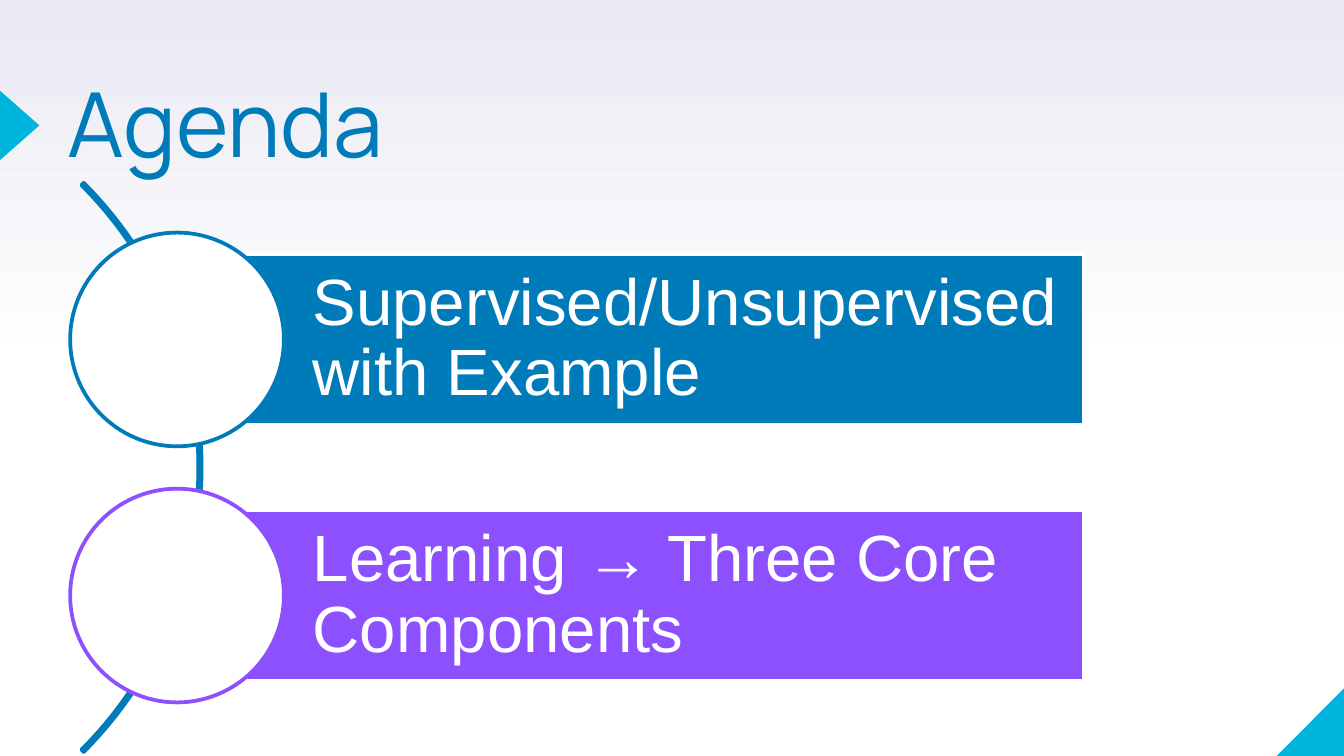
from copy import deepcopy

from pptx import Presentation
from pptx.dml.color import RGBColor
from pptx.enum.shapes import MSO_SHAPE as SHAPE
from pptx.enum.text import MSO_ANCHOR as ANCHOR, PP_ALIGN as ALIGN
from pptx.oxml.ns import qn
from pptx.util import Pt

COLORS = {
    "white": "FFFFFF",
    "mist": "E9EAF2",
    "cyan": "00B5DD",
    "blue": "007BB9",
    "purple": "8C50FF",
}
AGENDA = [
    ("Supervised/Unsupervised with Example", "blue"),
    ("Learning → Three Core Components", "purple"),
]


def rgb(name):
    return RGBColor.from_string(COLORS[name])


def add_shape(slide, kind, box, fill=None, line=None):
    sp = slide.shapes.add_shape(kind, *(Pt(v) for v in box))
    sp.shadow.inherit = False
    if fill:
        sp.fill.solid()
        sp.fill.fore_color.rgb = rgb(fill)
    else:
        sp.fill.background()
    if line:
        sp.line.color.rgb = rgb(line)
        sp.line.width = Pt(2)
    else:
        sp.line.fill.background()
    return sp


def set_text(sp, text, font, size, color, spacing, margins, anchor):
    tf = sp.text_frame
    tf.word_wrap = True
    tf.vertical_anchor = anchor
    tf.margin_left, tf.margin_top, tf.margin_right, tf.margin_bottom = (
        Pt(v) for v in margins)
    tf.text = text
    p = tf.paragraphs[0]
    p.alignment = ALIGN.LEFT
    p.line_spacing = spacing
    r = p.runs[0]
    r.font.name = font
    r.font.size = Pt(size)
    r.font.color.rgb = rgb(color)


def add_background(slide):
    fill = slide.background.fill
    fill.gradient()
    fill.gradient_angle = 90
    stop_list = slide._element.find(".//" + qn("a:gsLst"))
    stop_list.insert(1, deepcopy(stop_list[0]))
    stops = [(0, "white"), (0.5, "white"), (1, "mist")]
    for stop, (position, color) in zip(fill.gradient_stops, stops):
        stop.position = position
        stop.color.rgb = rgb(color)


def add_corner(slide, box):
    corner = add_shape(slide, SHAPE.RIGHT_TRIANGLE, box, "cyan")
    corner._element.spPr.xfrm.set("flipH", "1")


def add_title(slide, box, text):
    left, top, width, height = box
    # Pointer at the slide edge, turned to face the title
    pointer = add_shape(slide, SHAPE.ISOSCELES_TRIANGLE,
                        (-7.9, top + 9.2, 37, 21), "cyan")
    pointer.rotation = 90
    title = slide.shapes.add_textbox(Pt(left), Pt(top), Pt(width), Pt(height))
    set_text(title, text, "Manrope", 48, "blue", 0.8, (0, 0, 0, 0), ANCHOR.TOP)


def add_agenda(slide, box, items):
    left, top, width, height = box
    circle = 114.5
    bar_height = 91.6
    step = height - circle  # the last circle ends at the box's bottom
    if len(items) > 1:
        step /= len(items) - 1

    # Arc behind the circles
    arc_size = 431.2
    arc = add_shape(slide, SHAPE.BLOCK_ARC,
                    (-323.2, top + (height - arc_size) / 2, arc_size, arc_size),
                    line="blue")
    arc.adjustments[0] = 189
    arc.adjustments[1] = 27
    arc.adjustments[2] = 0.004

    # Bars start at the centre of their circles
    for i, (text, color) in enumerate(items):
        y = top + i * step
        bar = add_shape(slide, SHAPE.RECTANGLE,
                        (left + circle / 2, y + (circle - bar_height) / 2,
                         width - circle / 2, bar_height), color, "white")
        set_text(bar, text, "Arial", 35, "white", 0.9,
                 (72.7, 7, 7, 7), ANCHOR.MIDDLE)
        add_shape(slide, SHAPE.OVAL, (left, y, circle, circle), "white", color)


def main():
    prs = Presentation()
    prs.slide_width, prs.slide_height = Pt(720), Pt(405)
    slide = prs.slides.add_slide(prs.slide_layouts[6])
    add_background(slide)
    add_corner(slide, (684, 368.3, 36.5, 36.7))
    add_title(slide, (36, 47.5, 444, 85), "Agenda")
    add_agenda(slide, (37.6, 124.6, 543, 251.7), AGENDA)
    prs.save("out.pptx")


if __name__ == "__main__":
    main()
